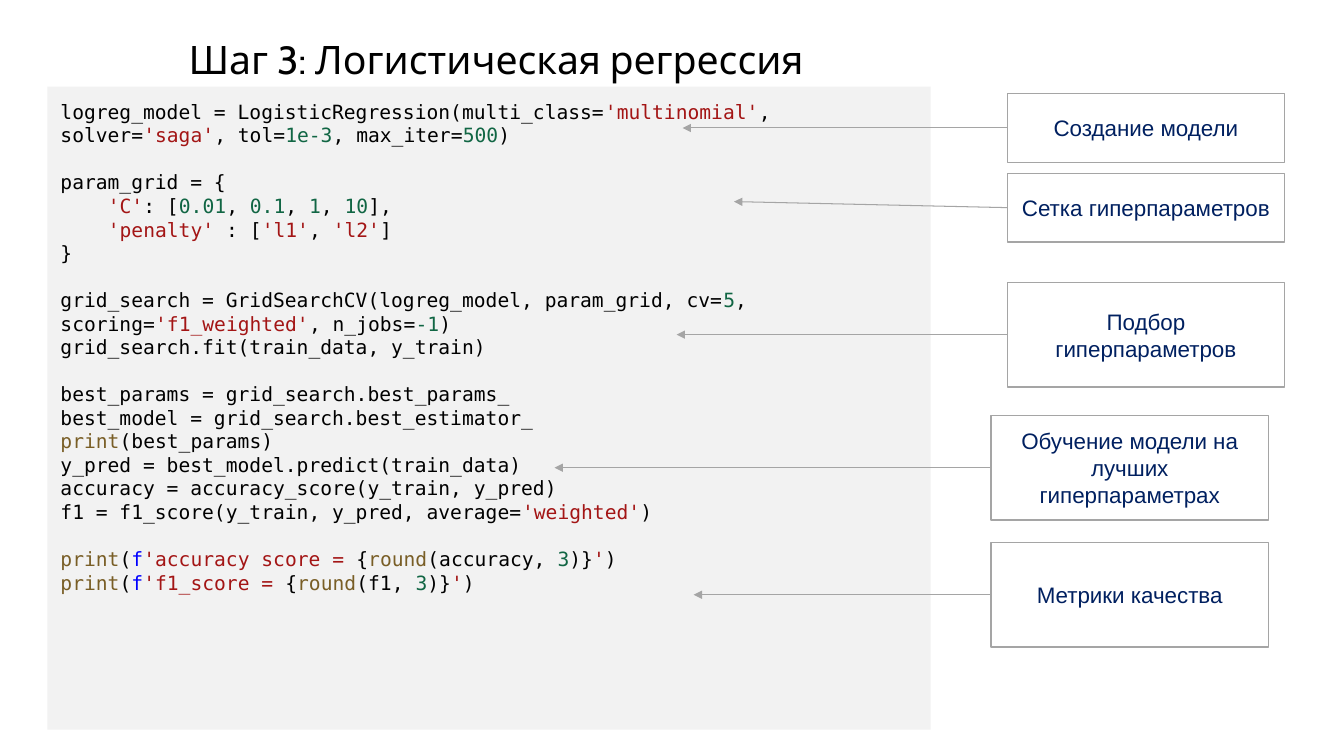
from dataclasses import dataclass
from functools import partial

from lxml.etree import SubElement
from pptx import Presentation
from pptx.dml.color import RGBColor
from pptx.enum.shapes import MSO_CONNECTOR as Line, MSO_SHAPE as Preset
from pptx.enum.text import MSO_ANCHOR as Anchor, PP_ALIGN as Align
from pptx.oxml.ns import qn
from pptx.shapes.autoshape import Shape
from pptx.slide import Slide
from pptx.text.text import TextFrame, _Paragraph as Paragraph
from pptx.util import Inches, Pt


@dataclass(frozen=True)
class Theme:
    """Colours, fonts and type sizes of the slide."""
    black: str = "000000"
    white: str = "FFFFFF"
    panel: str = "F2F2F2"
    grey: str = "A5A5A5"
    navy: str = "002060"
    string: str = "A31515"
    number: str = "116644"
    builtin: str = "795E26"
    prefix: str = "0000FF"
    title_font: str = "Cabin"
    code_font: str = "DejaVu Sans Mono"
    label_font: str = "Arial"
    title_size: float = 28
    code_size: float = 14
    code_leading: float = 16.8
    label_size: float = 16
    box_line: float = 1
    arrow_line: float = 0.75


THEME = Theme()


@dataclass(frozen=True)
class Span:
    """A piece of code in one colour."""
    text: str
    colour: str


@dataclass(frozen=True)
class CodeLine:
    """A line of code with its indent and the gap above it."""
    spans: list[Span]
    gap: bool = False
    indent: float = 0


@dataclass(frozen=True)
class Step:
    """A labelled box and the tip of its arrow."""
    label: str
    left: float
    top: float
    height: float
    tip_x: float
    tip_y: float


plain = partial(Span, colour=THEME.black)
string = partial(Span, colour=THEME.string)
number = partial(Span, colour=THEME.number)
builtin = partial(Span, colour=THEME.builtin)
prefix = partial(Span, colour=THEME.prefix)

TAB = 0.47
STEP_WIDTH = 2.75


def score_line(label: str, variable: str, gap: bool = False) -> CodeLine:
    """Return the code line that prints one rounded score."""
    return CodeLine([builtin("print"), plain("("), prefix("f"), string(f"'{label} = "), plain("{"),
                     builtin("round"), plain(f"({variable}, "), number("3"), plain(")}"),
                     string("'"), plain(")")], gap)


CODE = [
    CodeLine([plain("logreg_model = LogisticRegression(multi_class="), string("'multinomial'"),
              plain(", solver="), string("'saga'"), plain(", tol="), number("1e-3"),
              plain(", max_iter="), number("500"), plain(")")]),
    CodeLine([plain("param_grid = {")], gap=True),
    CodeLine([string("'C'"), plain(": ["), number("0.01"), plain(", "), number("0.1"), plain(", "),
              number("1"), plain(", "), number("10"), plain("],")], indent=TAB),
    CodeLine([string("'penalty'"), plain(" : ["), string("'l1'"), plain(", "), string("'l2'"),
              plain("]")], indent=TAB),
    CodeLine([plain("}")]),
    CodeLine([plain("grid_search = GridSearchCV(logreg_model, param_grid, cv="), number("5"),
              plain(", scoring="), string("'f1_weighted'"), plain(", n_jobs="), number("-1"),
              plain(")")], gap=True),
    CodeLine([plain("grid_search.fit(train_data, y_train)")]),
    CodeLine([plain("best_params = grid_search.best_params_")], gap=True),
    CodeLine([plain("best_model = grid_search.best_estimator_")]),
    CodeLine([builtin("print"), plain("(best_params)")]),
    CodeLine([plain("y_pred = best_model.predict(train_data)")]),
    CodeLine([plain("accuracy = accuracy_score(y_train, y_pred)")]),
    CodeLine([plain("f1 = f1_score(y_train, y_pred, average="), string("'weighted'"), plain(")")]),
    score_line("accuracy score", "accuracy", gap=True),
    score_line("f1_score", "f1"),
]

STEPS = [
    Step("Создание модели", 9.99, 0.93, 0.68, 6.77, 1.27),
    Step("Сетка гиперпараметров", 9.99, 1.72, 0.68, 7.28, 2),
    Step("Подбор гиперпараметров", 9.99, 2.8, 1.04, 6.71, 3.32),
    Step("Обучение модели на лучших гиперпараметрах", 9.83, 4.12, 1.04, 5.5, 4.64),
    Step("Метрики качества", 9.83, 5.38, 1.04, 6.88, 5.9),
]


def set_frame(frame: TextFrame, inset: float, anchor: Anchor) -> None:
    """Set wrapping, margins and anchor of a text frame."""
    frame.word_wrap = True
    frame.vertical_anchor = anchor
    frame.margin_left = frame.margin_right = Inches(inset)
    frame.margin_top = frame.margin_bottom = Inches(inset)


def add_span(para: Paragraph, text: str, font: str, size: float, colour: str) -> None:
    """Add one formatted run to a paragraph."""
    span = para.add_run()
    span.text = text
    span.font.name = font
    span.font.size = Pt(size)
    span.font.color.rgb = RGBColor.from_string(colour)


def add_box(page: Slide, left: float, top: float, width: float, height: float, fill: str) -> Shape:
    """Add a filled rectangle without outline or shadow."""
    box = page.shapes.add_shape(Preset.RECTANGLE, Inches(left), Inches(top),
                                Inches(width), Inches(height))
    box.shadow.inherit = False
    box.fill.solid()
    box.fill.fore_color.rgb = RGBColor.from_string(fill)
    box.line.fill.background()
    return box


def add_title(page: Slide, text: str) -> None:
    """Add the slide title."""
    box = page.shapes.add_textbox(Inches(1.82), Inches(-0.18), Inches(7.62), Inches(1.45))
    set_frame(box.text_frame, 0.05, Anchor.MIDDLE)
    para = box.text_frame.paragraphs[0]
    para.line_spacing = 1.15
    add_span(para, text, THEME.title_font, THEME.title_size, THEME.black)


def add_code(page: Slide, lines: list[CodeLine]) -> None:
    """Add the grey panel with the highlighted code."""
    frame = add_box(page, 0.47, 0.86, 8.76, 6.38, THEME.panel).text_frame
    set_frame(frame, 0.13, Anchor.TOP)
    for index, line in enumerate(lines):
        para = frame.add_paragraph() if index else frame.paragraphs[0]
        para.alignment = Align.LEFT
        para.line_spacing = Pt(THEME.code_leading)
        para.space_before = Pt(THEME.code_leading if line.gap else 0)
        if line.indent:
            para._p.get_or_add_pPr().set("marL", str(Inches(line.indent)))
        for span in line.spans:
            add_span(para, span.text, THEME.code_font, THEME.code_size, span.colour)


def add_step(page: Slide, step: Step) -> None:
    """Add a labelled box and the arrow from it to the code."""
    box = add_box(page, step.left, step.top, STEP_WIDTH, step.height, THEME.white)
    box.line.color.rgb = RGBColor.from_string(THEME.grey)
    box.line.width = Pt(THEME.box_line)
    set_frame(box.text_frame, 0.1, Anchor.MIDDLE)
    para = box.text_frame.paragraphs[0]
    para.alignment = Align.CENTER
    add_span(para, step.label, THEME.label_font, THEME.label_size, THEME.navy)

    arrow = page.shapes.add_connector(Line.STRAIGHT, Inches(step.left),
                                      Inches(step.top + step.height / 2),
                                      Inches(step.tip_x), Inches(step.tip_y))
    arrow.begin_connect(box, 1)
    arrow.line.color.rgb = RGBColor.from_string(THEME.grey)
    arrow.line.width = Pt(THEME.arrow_line)
    SubElement(arrow.line._get_or_add_ln(), qn("a:tailEnd"), type="triangle")
    SubElement(arrow._element.spPr, qn("a:effectLst"))


def main() -> None:
    """Build the slide and save the deck."""
    deck = Presentation()
    deck.slide_width, deck.slide_height = Inches(13.33), Inches(7.5)
    page = deck.slides.add_slide(deck.slide_layouts[6])
    add_code(page, CODE)
    add_title(page, "Шаг 3: Логистическая регрессия")
    for step in STEPS:
        add_step(page, step)
    deck.save("out.pptx")


if __name__ == "__main__":
    main()
